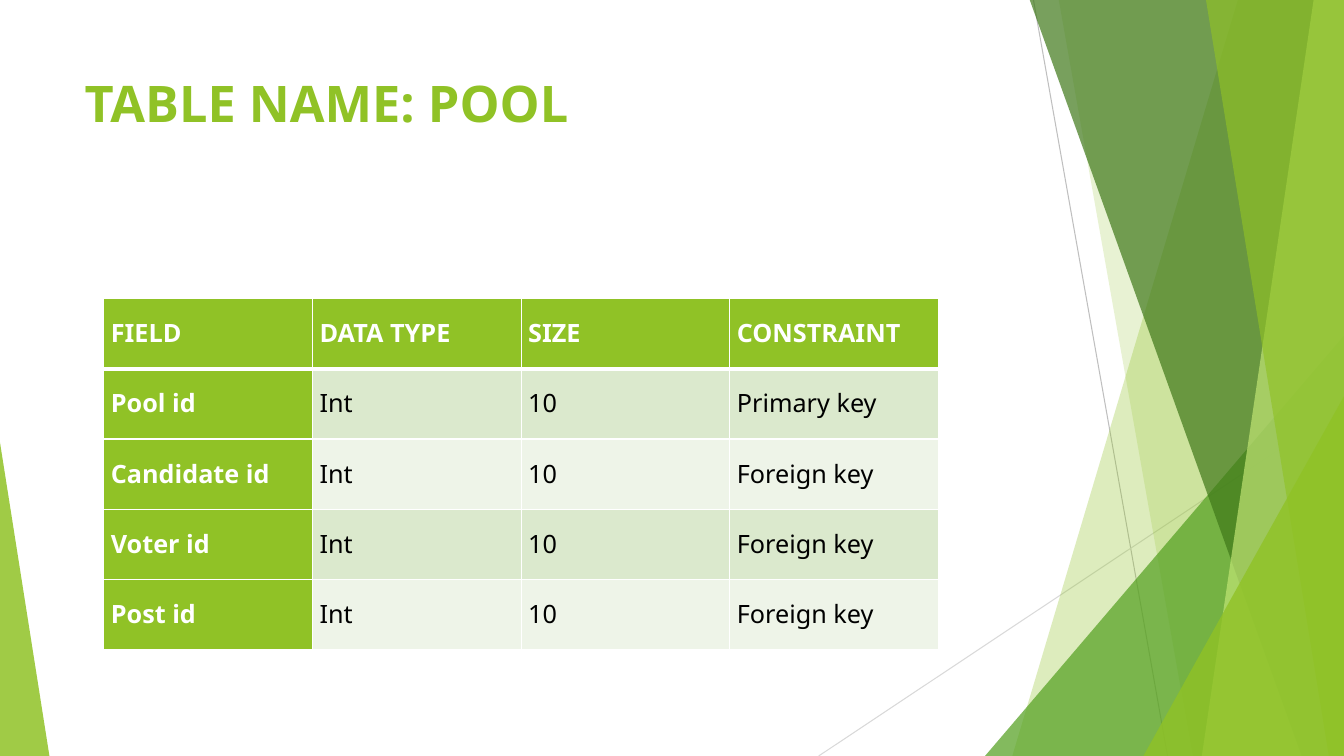
from lxml import etree
from pptx import Presentation
from pptx.dml.color import RGBColor
from pptx.enum.shapes import MSO_CONNECTOR, MSO_SHAPE
from pptx.enum.text import MSO_ANCHOR, PP_ALIGN
from pptx.oxml.ns import qn
from pptx.util import Inches, Pt

STRAIGHT = MSO_CONNECTOR.STRAIGHT
TRIANGLE = MSO_SHAPE.ISOSCELES_TRIANGLE
TOP = MSO_ANCHOR.TOP
LEFT = PP_ALIGN.LEFT
TITLE_ONLY = 5

WIDTH, HEIGHT = 13.33, 7.5
FONT = "Noto Sans"
GREEN, WHITE, BLACK = "90C226", "FFFFFF", "000000"
BANDS = ("DBE9CD", "EEF4E8")
ROWS = (
    ("FIELD", "DATA TYPE", "SIZE", "CONSTRAINT"),
    ("Pool id", "Int", "10", "Primary key"),
    ("Candidate id", "Int", "10", "Foreign key"),
    ("Voter id", "Int", "10", "Foreign key"),
    ("Post id", "Int", "10", "Foreign key"),
)


def color(value):
    """Turn a hex string into a colour."""
    return RGBColor.from_string(value)


def add_text(para, text, size, value, bold):
    """Add one formatted run to a paragraph."""
    span = para.add_run()
    span.text = text
    span.font.name = FONT
    span.font.size = Pt(size)
    span.font.bold = bold
    span.font.color.rgb = color(value)


def paint(shape, value, opacity):
    """Give a shape a translucent fill without line or shadow."""
    shape.shadow.inherit = False
    shape.line.fill.background()
    shape.fill.solid()
    shape.fill.fore_color.rgb = color(value)
    fill_color = shape.fill._xPr.find(qn("a:solidFill"))[0]
    etree.SubElement(fill_color, qn("a:alpha"), val=str(opacity * 1000))


def add_line(page, start, end, value):
    """Draw a thin straight line."""
    line = page.shapes.add_connector(STRAIGHT, *map(Inches, start + end))
    line.line.color.rgb = color(value)
    line.line.width = Pt(0.75)
    etree.SubElement(line._element.spPr, qn("a:effectLst"))


def add_blade(page, top_left, bottom_left, bottom_right, value, opacity):
    """Draw a slanted band that reaches the right edge of the slide."""
    corners = ((WIDTH, -0.01), (WIDTH, HEIGHT),
               (bottom_right, HEIGHT), (bottom_left, HEIGHT))
    builder = page.shapes.build_freeform(Inches(top_left), Inches(-0.01))
    builder.add_line_segments([(Inches(x), Inches(y)) for x, y in corners])
    paint(builder.convert_to_shape(), value, opacity)


def add_triangle(page, left, top, width, peak, value, opacity):
    """Draw a right triangle standing on the bottom edge."""
    shape = page.shapes.add_shape(
        TRIANGLE, Inches(left), Inches(top), Inches(width), Inches(HEIGHT - top))
    shape.adjustments[0] = peak
    paint(shape, value, opacity)


def add_decoration(page):
    """Draw the overlapping green facets at the slide edges."""
    add_line(page, (10.25, 0), (11.58, HEIGHT), "BFBFBF")
    add_line(page, (WIDTH, 4.03), (8.12, HEIGHT), "D9D9D9")
    add_blade(page, 12.28, 10.04, WIDTH, GREEN, 30)
    add_blade(page, 10.5, 11.83, WIDTH, GREEN, 20)
    add_triangle(page, 9.77, 3.33, 3.56, 1, "54A021", 72)
    add_blade(page, 10.21, 12.91, WIDTH, "3F7819", 70)
    add_blade(page, 13.03, 11.92, WIDTH, "C0E474", 70)
    add_blade(page, 11.96, 13.18, WIDTH, GREEN, 65)
    add_triangle(page, 11.34, 3.93, 1.99, 1, GREEN, 80)
    add_triangle(page, 0, 4.39, 0.49, 0, GREEN, 85)


def add_title(page, text):
    """Place and fill the title placeholder."""
    title = page.shapes.title
    title.left, title.top = Inches(0.74), Inches(0.67)
    title.width, title.height = Inches(9.4), Inches(1.44)
    frame = title.text_frame
    frame.word_wrap = True
    frame.vertical_anchor = TOP
    para = frame.paragraphs[0]
    para.alignment = LEFT
    add_text(para, text, 36, GREEN, True)


def add_border(cell, side, width):
    """Add a white border to one side of a cell."""
    properties = cell._tc.get_or_add_tcPr()
    line = etree.SubElement(properties, qn("a:" + side), w=str(Pt(width)))
    fill = etree.SubElement(line, qn("a:solidFill"))
    etree.SubElement(fill, qn("a:srgbClr"), val=WHITE)


def fill_cell(cell, text, row, column):
    """Format one cell according to its place in the table."""
    strong = row == 0 or column == 0
    cell.margin_left = cell.margin_right = Inches(0.07)
    cell.margin_top = cell.margin_bottom = 0
    cell.vertical_anchor = TOP
    add_border(cell, "lnL", 1)
    add_border(cell, "lnR", 1)
    add_border(cell, "lnT", 3 if row == 1 else 1)
    add_border(cell, "lnB", 3 if row == 0 else 1)
    cell.fill.solid()
    cell.fill.fore_color.rgb = color(GREEN if strong else BANDS[(row - 1) % 2])
    para = cell.text_frame.paragraphs[0]
    para.line_spacing = 1.5
    para.space_after = Pt(10)
    add_text(para, text, 18, WHITE if strong else BLACK, strong)


def add_field_table(page):
    """Add the table of fields and constraints."""
    frame = page.shapes.add_table(
        len(ROWS), len(ROWS[0]),
        Inches(1.03), Inches(2.96), Inches(8.28), Inches(3.49))
    frame.table.first_row = True
    frame.table.first_col = True
    for row, texts in enumerate(ROWS):
        for column, text in enumerate(texts):
            fill_cell(frame.table.cell(row, column), text, row, column)


def main():
    """Build and save the slide."""
    deck = Presentation()
    deck.slide_width, deck.slide_height = Inches(WIDTH), Inches(HEIGHT)
    page = deck.slides.add_slide(deck.slide_layouts[TITLE_ONLY])
    add_decoration(page)
    add_title(page, "TABLE NAME: POOL")
    add_field_table(page)
    deck.save("out.pptx")


main()
